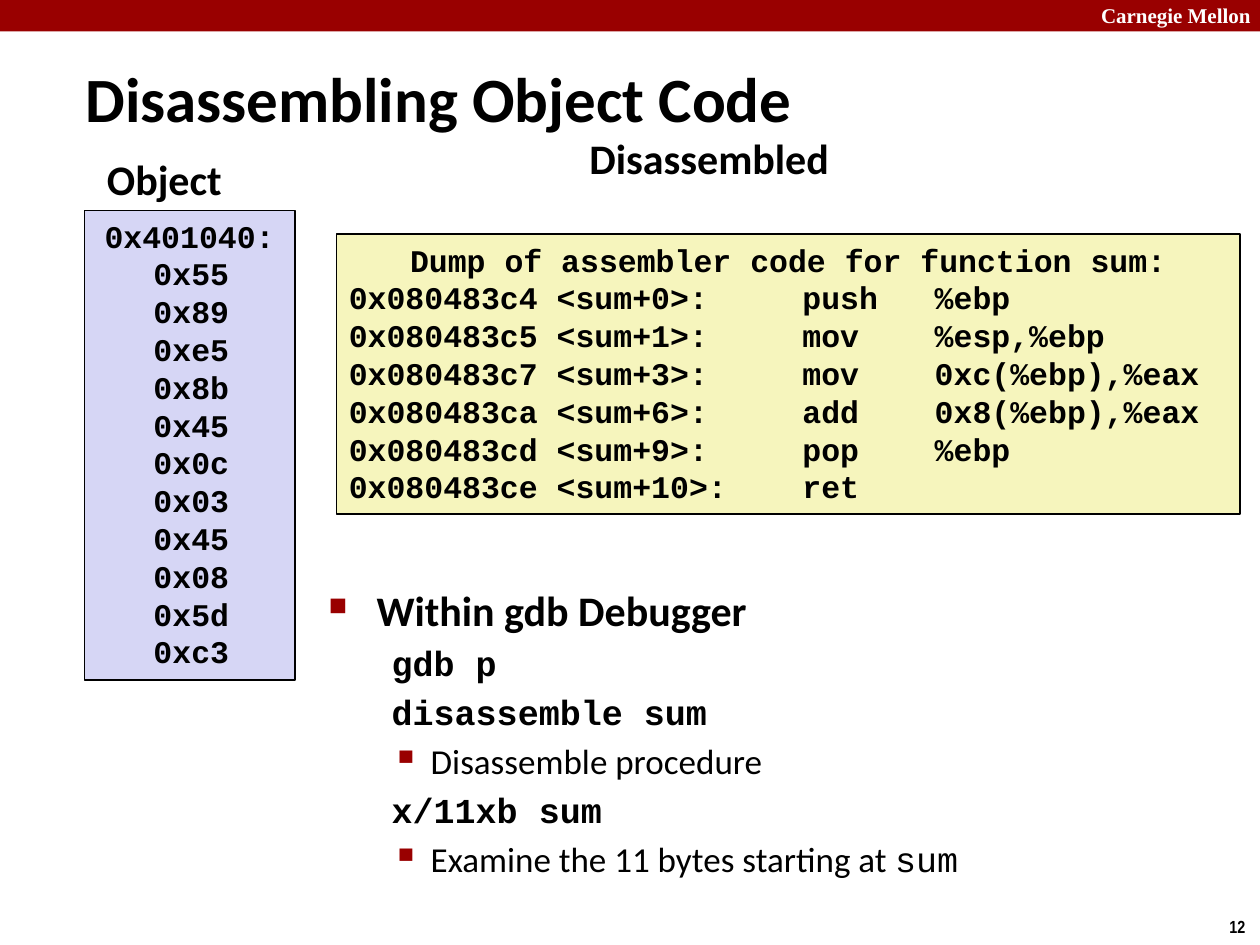
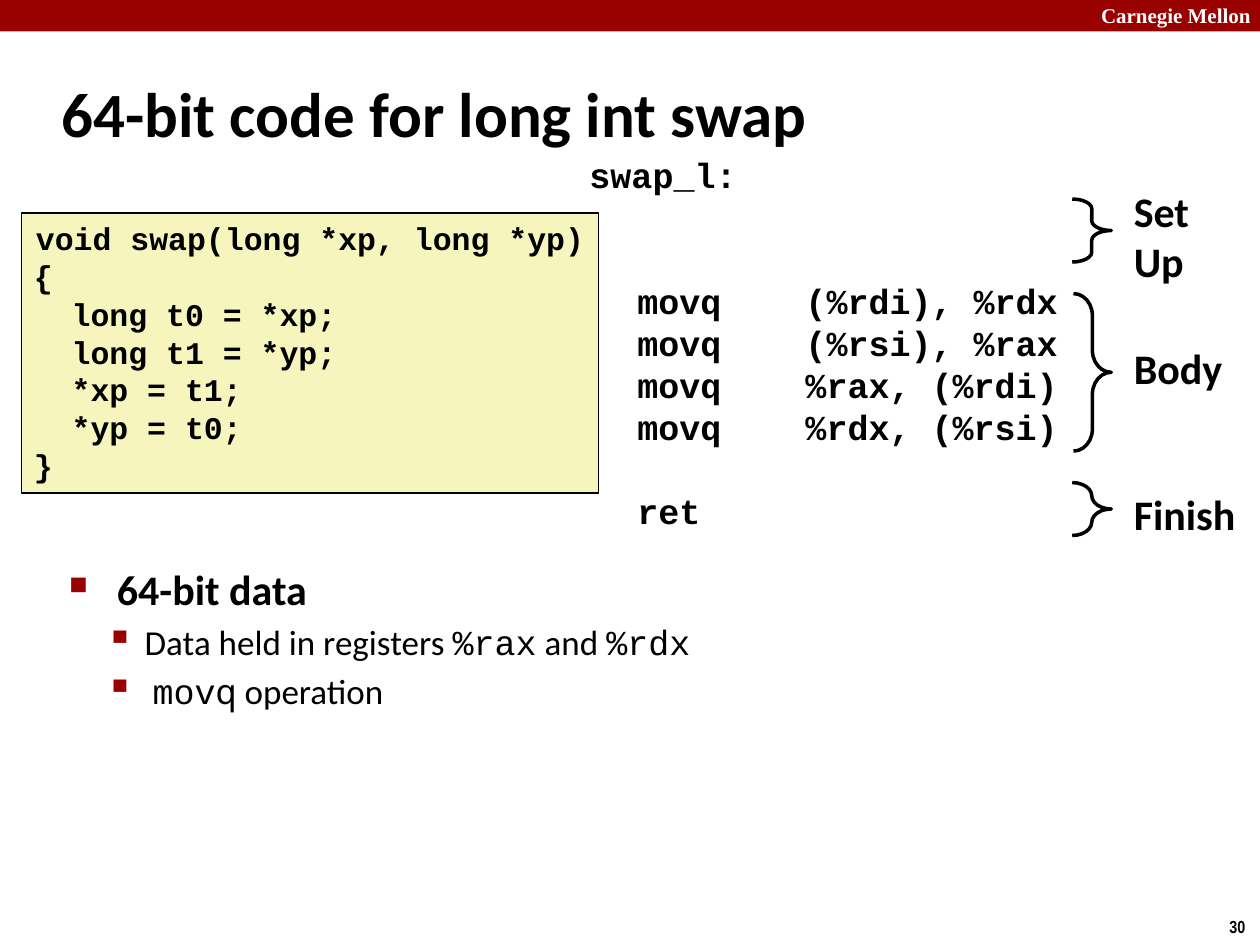
from lxml.etree import SubElement
from pptx import Presentation
from pptx.dml.color import RGBColor
from pptx.enum.shapes import MSO_SHAPE
from pptx.enum.text import MSO_ANCHOR
from pptx.oxml.ns import qn
from pptx.util import Emu, Pt

PX = 9144  # EMU per px, 100 px to the inch

RED, BLACK, WHITE = "990000", "000000", "FFFFFF"
YELLOW, LAVENDER = "F6F5BD", "D6D6F5"
SANS, MONO = "Calibri", "Courier New"

DUMP = """\
Dump of assembler code for function sum:
0x080483c4 <sum+0>:     push   %ebp
0x080483c5 <sum+1>:     mov    %esp,%ebp
0x080483c7 <sum+3>:     mov    0xc(%ebp),%eax
0x080483ca <sum+6>:     add    0x8(%ebp),%eax
0x080483cd <sum+9>:     pop    %ebp
0x080483ce <sum+10>:    ret"""

SWAP = """\
void swap(long *xp, long *yp)
{
  long t0 = *xp;
  long t1 = *yp;
  *xp = t1;
  *yp = t0;
}"""

MOVES = """\
movq    (%rdi), %rdx
movq    (%rsi), %rax
movq    %rax, (%rdi)
movq    %rdx, (%rsi)"""

OBJECT_BYTES = "55 89 e5 8b 45 0c 03 45 08 5d c3".split()


def px(length):
    return Emu(length * PX)


def color(hex_code):
    return RGBColor.from_string(hex_code)


def add_bullet(para, char, percent):
    properties = para._p.get_or_add_pPr()
    tint = SubElement(properties, qn("a:buClr"))
    SubElement(tint, qn("a:srgbClr"), val=RED)
    SubElement(properties, qn("a:buSzPct"), val=str(percent * 1000))
    SubElement(properties, qn("a:buChar"), char=char)


def write(frame, text, font=SANS, size=24, bold=True, ink=BLACK,
          left=0, hang=0, before=0, bullet=None):
    """Add one paragraph; text is a string or a list of (text, font) spans."""
    first = frame.paragraphs[0]
    para = frame.add_paragraph() if first.runs else first
    properties = para._p.get_or_add_pPr()
    properties.set("marL", str(px(left)))
    properties.set("indent", str(px(-hang)))
    if bullet:
        add_bullet(para, *bullet)
    if before:
        para.space_before = Pt(before)
    for words, face in [(text, font)] if isinstance(text, str) else text:
        span = para.add_run()
        span.text = words
        span.font.name = face
        span.font.size = Pt(size)
        span.font.bold = bold
        span.font.color.rgb = color(ink)


class Lecture:
    """The deck's style and the slide being filled."""

    def __init__(self):
        self.deck = Presentation()
        self.deck.slide_width, self.deck.slide_height = px(1000), px(750)
        self.page = None

    def new_page(self, number):
        self.page = self.deck.slides.add_slide(self.deck.slide_layouts[6])
        self.shape(MSO_SHAPE.RECTANGLE, 0, 0, 1000, 25, fill=RED)
        self.label("Carnegie Mellon", 864, -3, 143, 30,
                   font="Times New Roman", size=12, ink=WHITE)
        self.label(number, 966, 722, 34, 27, font="Arial Narrow", size=10)

    def shape(self, kind, left, top, width, height, fill=None, line=0):
        shape = self.page.shapes.add_shape(
            kind, px(left), px(top), px(width), px(height))
        shape.shadow.inherit = False
        if fill:
            shape.fill.solid()
            shape.fill.fore_color.rgb = color(fill)
        else:
            shape.fill.background()
        if line:
            shape.line.color.rgb = color(BLACK)
            shape.line.width = Pt(line)
        else:
            shape.line.fill.background()
        return shape

    def frame(self, left, top, width, height):
        box = self.page.shapes.add_textbox(
            px(left), px(top), px(width), px(height))
        box.text_frame.word_wrap = True
        return box.text_frame

    def label(self, text, left, top, width, height, **style):
        frame = self.frame(left, top, width, height)
        for line in text.splitlines():
            write(frame, line, **style)
        return frame

    def title(self, text, left, top, width, height):
        frame = self.label(text, left, top, width, height, size=36)
        frame.vertical_anchor = MSO_ANCHOR.MIDDLE

    def code_box(self, code, left, top, width, height, fill=YELLOW):
        box = self.shape(MSO_SHAPE.RECTANGLE, left, top, width, height, fill, line=1)
        frame = box.text_frame
        frame.vertical_anchor = MSO_ANCHOR.TOP
        for line in code.splitlines():
            write(frame, line, font=MONO, size=18)

    def topic(self, frame, text):
        write(frame, text, left=38, hang=38, bullet=("■", 60))

    def point(self, frame, text, left):
        write(frame, text, size=20, bold=False, left=left, hang=31, before=4,
              bullet=("▪", 110))

    def command(self, frame, text):
        write(frame, text, font=MONO, size=20, left=50, before=4)

    def brace(self, left, top, width, height, curl):
        brace = self.shape(MSO_SHAPE.RIGHT_BRACE, left, top, width, height, line=2)
        brace.adjustments[0] = curl


def disassembling_page(lecture):
    lecture.new_page("12")
    lecture.title("Disassembling Object Code", 58, 46, 683, 63)
    lecture.label("Disassembled", 458, 100, 285, 45)
    lecture.code_box(DUMP, 267, 186, 717, 222)
    lecture.label("Object", 75, 117, 143, 45)
    listing = "\n".join(["0x401040:"] + [f"   0x{byte}" for byte in OBJECT_BYTES])
    lecture.code_box(listing, 67, 167, 167, 373, LAVENDER)

    body = lecture.frame(251, 459, 689, 246)
    lecture.topic(body, "Within gdb Debugger")
    lecture.command(body, "gdb p")
    lecture.command(body, "disassemble sum")
    lecture.point(body, "Disassemble procedure", 81)
    lecture.command(body, "x/11xb sum")
    lecture.point(body, [("Examine the 11 bytes starting at ", SANS), ("sum", MONO)], 81)


def swap_page(lecture):
    lecture.new_page("30")
    lecture.title("64-bit code for long int swap", 39, 48, 830, 83)
    lecture.code_box(SWAP, 17, 169, 458, 222)

    body = lecture.frame(45, 442, 864, 196)
    lecture.topic(body, "64-bit data")
    lecture.point(body, [("Data held in registers ", SANS), ("%rax", MONO),
                         (" and ", SANS), ("%rdx", MONO)], 60)
    lecture.point(body, [(" ", SANS), ("mov", MONO), ("q", "Noto Sans Mono"),
                         (" operation", SANS)], 60)

    line_height = 24
    assembly = lecture.label("swap_l:", 458, 117, 458, 313, font=MONO, size=20)
    for index, line in enumerate(MOVES.splitlines()):
        write(assembly, line, font=MONO, size=20, left=38,
              before=0 if index else 2 * line_height)
    write(assembly, "ret", font=MONO, size=20, left=38, before=line_height)

    for text, label_top, width, height, brace, curl in (
        ("Set\nUp", 142, 65, 91, (851, 158, 31, 50), 0.25),
        ("Body", 267, 91, 50, (852, 233, 30, 125), 0.58),
        ("Finish", 383, 102, 50, (851, 383, 31, 42), 0.36),
    ):
        lecture.brace(*brace, curl)
        lecture.label(text, 890, label_top, width, height)


def main():
    lecture = Lecture()
    disassembling_page(lecture)
    swap_page(lecture)
    lecture.deck.save("out.pptx")


if __name__ == "__main__":
    main()
